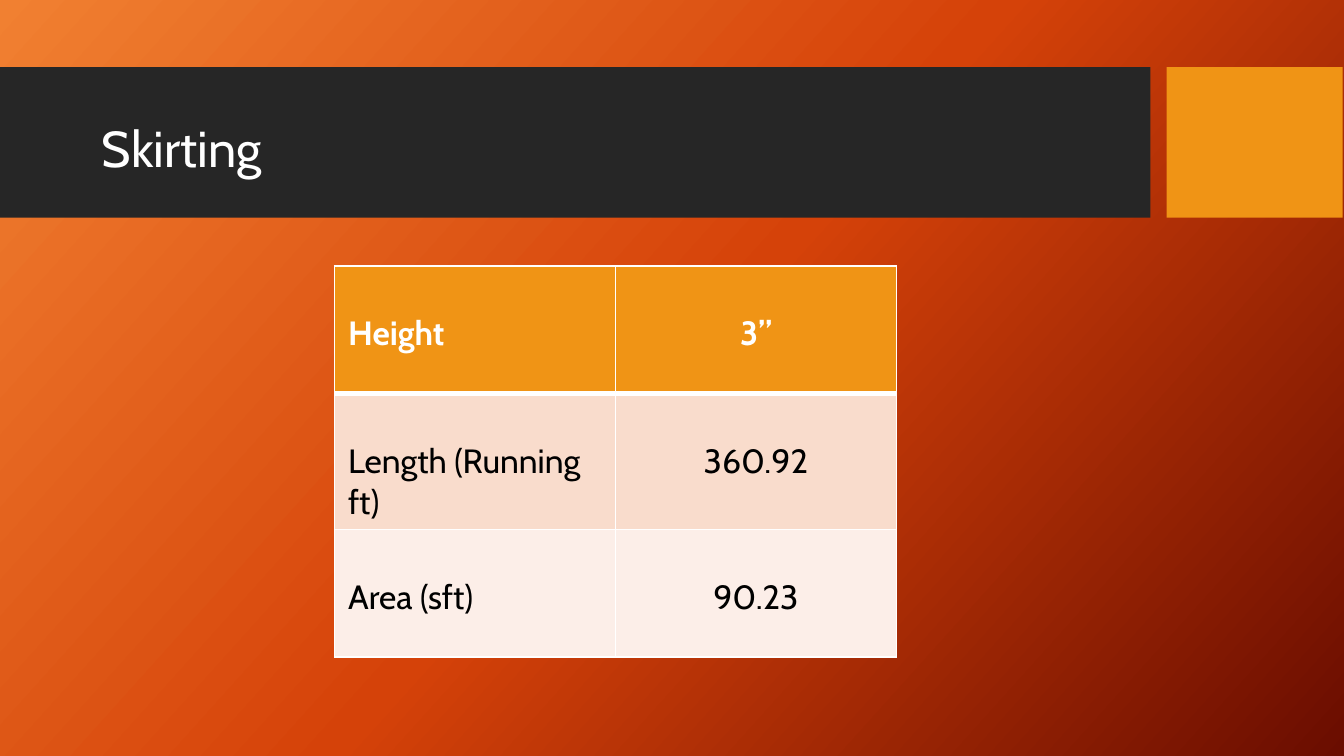
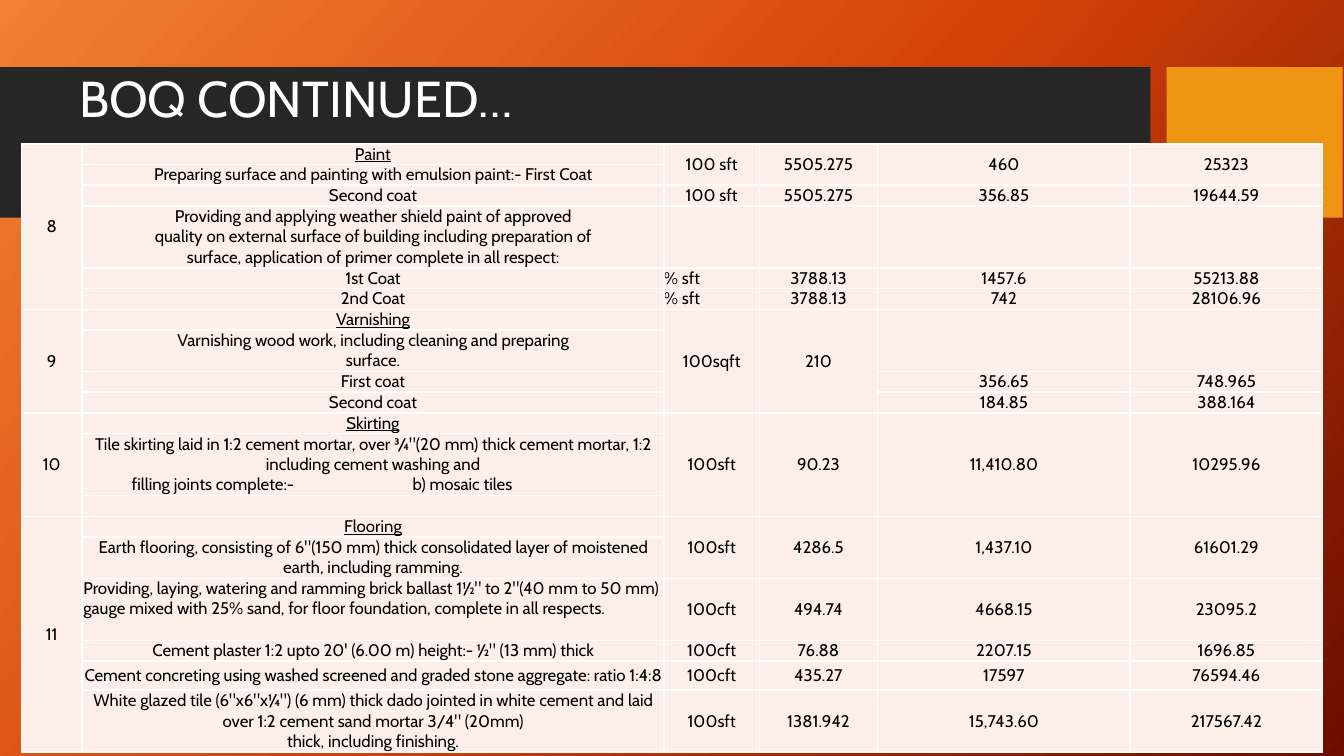
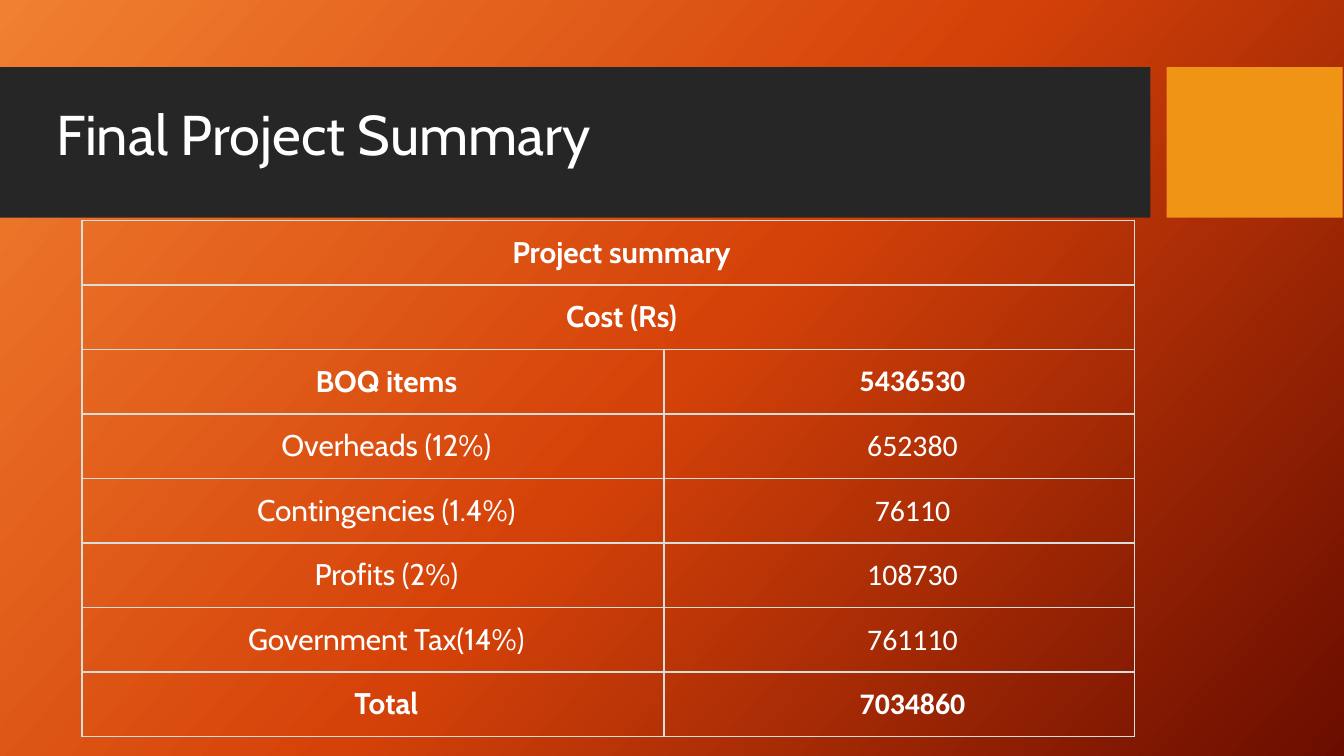
"""Builds three slides of a building cost estimate: skirting, bill of quantities and summary."""
from dataclasses import dataclass, replace
from typing import Callable, NamedTuple, Optional

from lxml import etree
from pptx import Presentation
from pptx.dml.color import RGBColor
from pptx.enum.shapes import MSO_SHAPE
from pptx.enum.text import MSO_ANCHOR, PP_ALIGN
from pptx.oxml.ns import qn
from pptx.util import Inches, Pt

WHITE = RGBColor(0xFF, 0xFF, 0xFF)
BLACK = RGBColor(0x00, 0x00, 0x00)
CHARCOAL = RGBColor(0x26, 0x26, 0x26)
AMBER = RGBColor(0xF0, 0x94, 0x15)
PEACH = RGBColor(0xF9, 0xDC, 0xCC)
PALE_PEACH = RGBColor(0xFC, 0xEE, 0xE8)
SILVER = RGBColor(0xD8, 0xDE, 0xDC)
BACKGROUND_STOPS = (
    (0, RGBColor(0xF1, 0x80, 0x31)),
    (50, RGBColor(0xD5, 0x42, 0x09)),
    (100, RGBColor(0x6A, 0x0D, 0x00)),
)
RECTANGLE = MSO_SHAPE.RECTANGLE
LEFT, CENTER = PP_ALIGN.LEFT, PP_ALIGN.CENTER
TOP, MIDDLE, BOTTOM = MSO_ANCHOR.TOP, MSO_ANCHOR.MIDDLE, MSO_ANCHOR.BOTTOM
TITLE_FONT = "Cabin"
NUMBER_FONT = "Calibri"
MERGE_UP = "^"
MERGE_LEFT = "<"


class Box(NamedTuple):
    """Left, top, width and height in inches."""

    left: float
    top: float
    width: float
    height: float


class Band(NamedTuple):
    """A coloured block behind the title."""

    box: Box
    color: RGBColor


class BoqRow(NamedTuple):
    """A bill row with its height in text lines."""

    lines: float
    cells: tuple[str, ...]


@dataclass(frozen=True)
class CellStyle:
    """Look of one table cell."""

    size: float
    color: RGBColor
    fill: Optional[RGBColor]
    border: RGBColor
    border_width: float = 1
    bottom_width: float = 1
    margins: tuple[float, float, float, float] = (0.1, 0.05, 0.1, 0.05)
    align: PP_ALIGN = CENTER
    anchor: MSO_ANCHOR = MIDDLE
    font: str = TITLE_FONT
    bold: bool = False
    underline: bool = False


StyleRule = Callable[[int, int, str], CellStyle]

BANDS = (
    Band(Box(0, 0.5, 8.56, 1.12), CHARCOAL),
    Band(Box(8.68, 0.5, 1.31, 1.12), AMBER),
)

SKIRTING_ROWS = (
    ("Height", "3”"),
    ("Length (Running ft)", "360.92"),
    ("Area (sft)", "90.23"),
)
SKIRTING_FILLS = (AMBER, PEACH, PALE_PEACH)

BOQ_WIDTHS = (0.45, 4.33, 0.71, 0.88, 1.88, 1.43)
BOQ_HEIGHT = 4.53
BOQ_HEADINGS = ("Paint", "Varnishing", "Skirting", "Flooring")
BOQ_BALLAST = (
    "Providing, laying, watering and ramming brick ballast 1½\" to 2\"(40 mm to 50 mm) "
    "gauge mixed with 25% sand, for floor foundation, complete in all respects."
)
BOQ_WEATHER_SHIELD = (
    "Providing and applying weather shield paint of approved\v"
    "quality on external surface of building including preparation of\v"
    "surface, application of primer complete in all respect:"
)
BOQ_TILE_SKIRTING = (
    "Tile skirting laid in 1:2 cement mortar, over ¾\"(20 mm) thick cement mortar, 1:2 "
    "including cement washing and\n\tfilling joints complete:-\tb) mosaic tiles"
)
BOQ_EARTH = (
    "Earth flooring, consisting of 6\"(150 mm) thick consolidated layer of moistened "
    "earth, including ramming."
)
BOQ_CONCRETE = (
    "Cement concreting using washed screened and graded stone aggregate: ratio 1:4:8"
)
BOQ_GLAZED_TILE = (
    "White glazed tile (6\"x6\"x¼\") (6 mm) thick dado jointed in white cement and laid "
    "over 1:2 cement sand mortar 3/4\" (20mm)\vthick, including finishing."
)
BOQ_JOINT_TABS = (0.37, 2.46)
UP = MERGE_UP
BOQ_ROWS = (
    BoqRow(1, ("8", "Paint", "100 sft", "5505.275", "460", "25323")),
    BoqRow(1, (UP, "Preparing surface and painting with emulsion paint:- First Coat",
               UP, UP, UP, UP)),
    BoqRow(1, (UP, "Second coat", "100 sft", "5505.275", "356.85", "19644.59")),
    BoqRow(3, (UP, BOQ_WEATHER_SHIELD, "", "", "", "")),
    BoqRow(1, (UP, "1st Coat", "% sft", "3788.13", "1457.6", "55213.88")),
    BoqRow(1, (UP, "2nd Coat", "% sft", "3788.13", "742", "28106.96")),
    BoqRow(1, ("9", "Varnishing", "100sqft", "210", "", "")),
    BoqRow(2, (UP, "Varnishing wood work, including cleaning and preparing\vsurface.",
               UP, UP, UP, UP)),
    BoqRow(1, (UP, "First coat", UP, UP, "356.65", "748.965")),
    BoqRow(1, (UP, "Second coat", UP, UP, "184.85", "388.164")),
    BoqRow(1, ("10", "Skirting", "100sft", "90.23", "11,410.80", "10295.96")),
    BoqRow(3, (UP, BOQ_TILE_SKIRTING, UP, UP, UP, UP)),
    BoqRow(1, (UP, "", UP, UP, UP, UP)),
    BoqRow(1, ("11", "Flooring", "100sft", "4286.5", "1,437.10", "61601.29")),
    BoqRow(2, (UP, BOQ_EARTH, UP, UP, UP, UP)),
    BoqRow(3, (UP, BOQ_BALLAST, "100cft", "494.74", "4668.15", "23095.2")),
    BoqRow(1, (UP, "Cement plaster 1:2 upto 20' (6.00 m) height:- ½\" (13 mm) thick",
               "100cft", "76.88", "2207.15", "1696.85")),
    BoqRow(1.4, (UP, BOQ_CONCRETE, "100cft", "435.27", "17597", "76594.46")),
    BoqRow(3, (UP, BOQ_GLAZED_TILE, "100sft", "1381.942", "15,743.60", "217567.42")),
)

SUMMARY_ROWS = (
    ("Project summary", MERGE_LEFT),
    ("Cost (Rs)", MERGE_LEFT),
    ("BOQ items", "5436530"),
    ("Overheads (12%)", "652380"),
    ("Contingencies (1.4%)", "76110"),
    ("Profits (2%)", "108730"),
    ("Government Tax(14%)", "761110"),
    ("Total", "7034860"),
)
SUMMARY_BOLD_ROWS = (0, 1, 2, 7)

SKIRTING_STYLE = CellStyle(18, BLACK, PEACH, WHITE, anchor=TOP, margins=(0.1, 0.35, 0.1, 0.06))
BOQ_STYLE = CellStyle(9, BLACK, PALE_PEACH, WHITE, margins=(0, 0, 0, 0))
SUMMARY_STYLE = CellStyle(16, WHITE, None, SILVER, 0.75, 0.75, (0.21, 0.1, 0.01, 0.1))


def skirting_style(row: int, column: int, text: str) -> CellStyle:
    """Style a cell of the skirting table."""
    style = replace(SKIRTING_STYLE, fill=SKIRTING_FILLS[row], align=CENTER if column else LEFT)
    return replace(style, color=WHITE, bold=True, bottom_width=3) if row == 0 else style


def boq_style(row: int, column: int, text: str) -> CellStyle:
    """Style a cell of the bill of quantities."""
    if text == BOQ_BALLAST:
        return replace(BOQ_STYLE, align=LEFT, anchor=TOP, margins=(0.01, 0, 0, 0))
    align = LEFT if text == "% sft" else CENTER
    return replace(BOQ_STYLE, align=align, underline=text in BOQ_HEADINGS)


def summary_style(row: int, column: int, text: str) -> CellStyle:
    """Style a cell of the project summary."""
    return replace(
        SUMMARY_STYLE,
        bold=row in SUMMARY_BOLD_ROWS,
        font=NUMBER_FONT if column else TITLE_FONT,
        anchor=BOTTOM if column and row > 2 else MIDDLE,
    )


def inches(box: Box) -> tuple:
    """Convert a box to lengths."""
    return tuple(Inches(value) for value in box)


def add_color(parent, color: RGBColor) -> None:
    """Add a solid colour element to an XML parent."""
    etree.SubElement(parent, qn("a:srgbClr"), val=str(color))


def paint_background(slide) -> None:
    """Fill the slide with the diagonal gradient."""
    fill = slide.background.fill
    fill.gradient()
    fill.gradient_angle = 318
    stop_list = slide.background._cSld.find(".//" + qn("a:gsLst"))
    for stop in list(stop_list):
        stop_list.remove(stop)
    for position, color in BACKGROUND_STOPS:
        add_color(etree.SubElement(stop_list, qn("a:gs"), pos=str(position * 1000)), color)


def format_runs(paragraph, font: str, size: float, color: RGBColor) -> None:
    """Apply font, size and colour to every run."""
    for run in paragraph.runs:
        run.font.name = font
        run.font.size = Pt(size)
        run.font.color.rgb = color


def add_titled_slide(presentation, title: str, box: Box, size: float):
    """Add a slide with background, bands and title."""
    slide = presentation.slides.add_slide(presentation.slide_layouts[6])
    paint_background(slide)
    for band in BANDS:
        shape = slide.shapes.add_shape(RECTANGLE, *inches(band.box))
        shape.shadow.inherit = False
        shape.fill.solid()
        shape.fill.fore_color.rgb = band.color
        shape.line.fill.background()
    text_frame = slide.shapes.add_textbox(*inches(box)).text_frame
    text_frame.word_wrap = True
    text_frame.vertical_anchor = MIDDLE
    text_frame.text = title
    paragraph = text_frame.paragraphs[0]
    paragraph.line_spacing = 0.9
    format_runs(paragraph, TITLE_FONT, size, WHITE)
    return slide


def set_borders(cell, style: CellStyle) -> None:
    """Draw the four borders of a cell."""
    properties = cell._tc.get_or_add_tcPr()
    for index, side in enumerate(("lnL", "lnR", "lnT", "lnB")):
        width = style.bottom_width if side == "lnB" else style.border_width
        line = etree.Element(qn("a:" + side), w=str(Pt(width)))
        add_color(etree.SubElement(line, qn("a:solidFill")), style.border)
        properties.insert(index, line)


def set_tabs(paragraph, positions: tuple[float, ...]) -> None:
    """Give a paragraph left tab stops."""
    tab_list = etree.SubElement(paragraph._p.get_or_add_pPr(), qn("a:tabLst"))
    for position in positions:
        etree.SubElement(tab_list, qn("a:tab"), pos=str(Inches(position)), algn="l")


def fill_cell(cell, text: str, style: CellStyle) -> None:
    """Write and format one cell."""
    if style.fill is None:
        cell.fill.background()
    else:
        cell.fill.solid()
        cell.fill.fore_color.rgb = style.fill
    set_borders(cell, style)
    cell.margin_left, cell.margin_top, cell.margin_right, cell.margin_bottom = (
        Inches(margin) for margin in style.margins
    )
    cell.vertical_anchor = style.anchor
    cell.text_frame.text = text
    for paragraph in cell.text_frame.paragraphs:
        paragraph.alignment = style.align
        if "\t" in paragraph.text:
            paragraph.alignment = LEFT
            set_tabs(paragraph, BOQ_JOINT_TABS)
        format_runs(paragraph, style.font, style.size, style.color)
        for run in paragraph.runs:
            run.font.bold = style.bold
            run.font.underline = style.underline
        if not paragraph.runs:
            paragraph._p.get_or_add_endParaRPr().set("sz", str(int(style.size * 100)))


def merge_cells(table, rows: tuple) -> None:
    """Merge each cell with the marks below it or to its right."""
    for row, texts in enumerate(rows):
        for column, text in enumerate(texts):
            if text in (MERGE_UP, MERGE_LEFT):
                continue
            last_row, last_column = row, column
            while last_row + 1 < len(rows) and rows[last_row + 1][column] == MERGE_UP:
                last_row += 1
            while last_column + 1 < len(texts) and texts[last_column + 1] == MERGE_LEFT:
                last_column += 1
            if (last_row, last_column) != (row, column):
                table.cell(row, column).merge(table.cell(last_row, last_column))


def add_styled_table(slide, left: float, top: float, widths: tuple, heights: tuple,
                     rows: tuple, style_rule: StyleRule) -> None:
    """Add a table whose cells are styled by a rule."""
    box = Box(left, top, sum(widths), sum(heights))
    table = slide.shapes.add_table(len(rows), len(widths), *inches(box)).table
    table.first_row = table.horz_banding = False
    for column, width in zip(table.columns, widths):
        column.width = Inches(width)
    for table_row, height in zip(table.rows, heights):
        table_row.height = Inches(height)
    for row, texts in enumerate(rows):
        for column, text in enumerate(texts):
            shown = "" if text in (MERGE_UP, MERGE_LEFT) else text
            fill_cell(table.cell(row, column), shown, style_rule(row, column, text))
    merge_cells(table, rows)


def main() -> None:
    """Build and save the presentation."""
    presentation = Presentation()
    presentation.slide_width = Inches(10)
    presentation.slide_height = Inches(10 * 9 / 16)

    skirting = add_titled_slide(presentation, "Skirting", Box(0.66, 0.47, 9.02, 1.31), 27)
    add_styled_table(skirting, 2.49, 1.98, (2.09, 2.09), (0.95,) * 3,
                     SKIRTING_ROWS, skirting_style)

    boq = add_titled_slide(presentation, "BOQ CONTINUED…", Box(0.49, 0.31, 7.89, 0.89), 27)
    line_height = BOQ_HEIGHT / sum(row.lines for row in BOQ_ROWS)
    add_styled_table(boq, 0.16, 1.07, BOQ_WIDTHS,
                     tuple(row.lines * line_height for row in BOQ_ROWS),
                     tuple(row.cells for row in BOQ_ROWS), boq_style)

    summary = add_titled_slide(
        presentation, "Final Project Summary", Box(0.32, 0.64, 8.4, 0.77), 30)
    add_styled_table(summary, 0.61, 1.64, (4.33, 3.5), (0.48,) * len(SUMMARY_ROWS),
                     SUMMARY_ROWS, summary_style)

    presentation.save("out.pptx")


if __name__ == "__main__":
    main()
